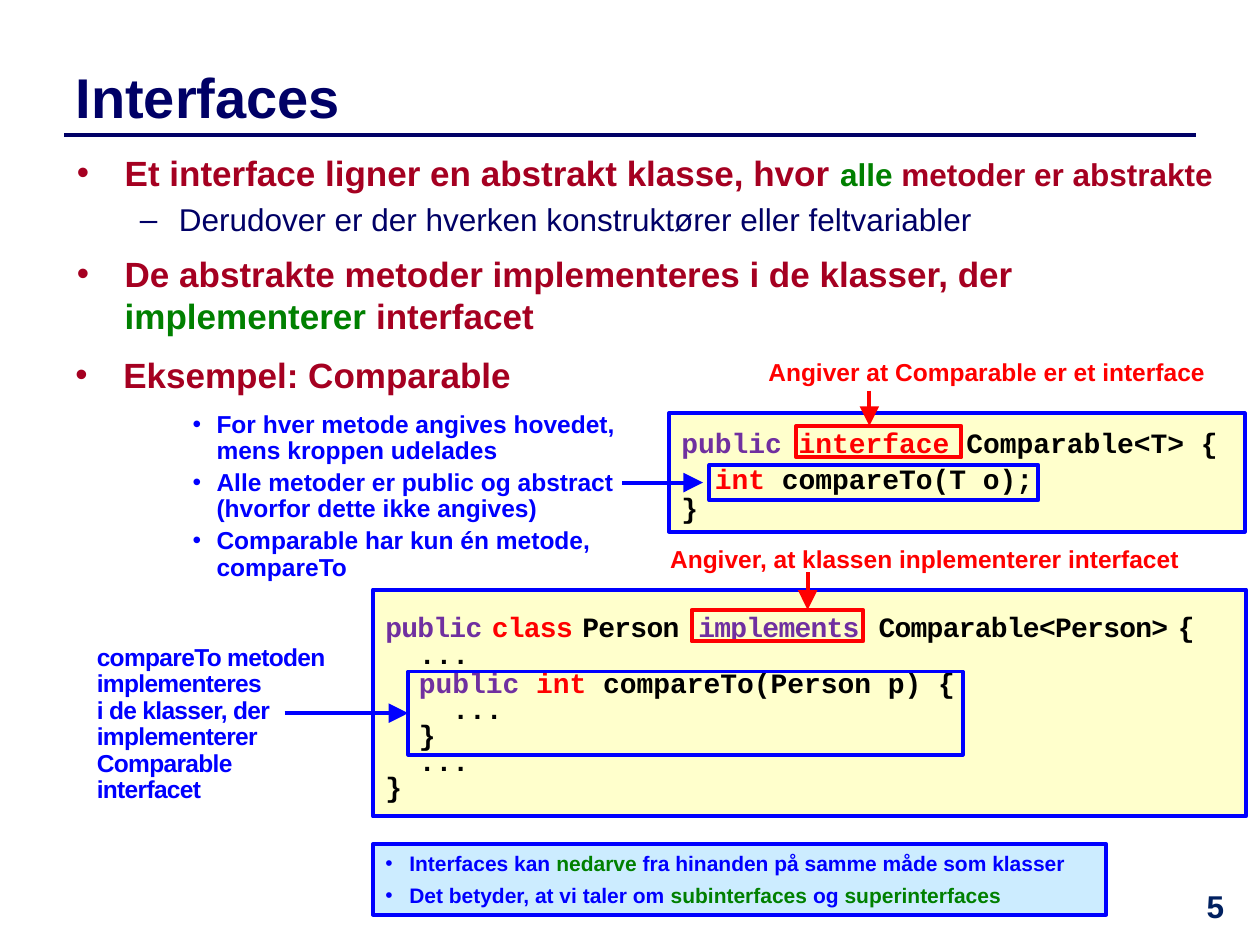
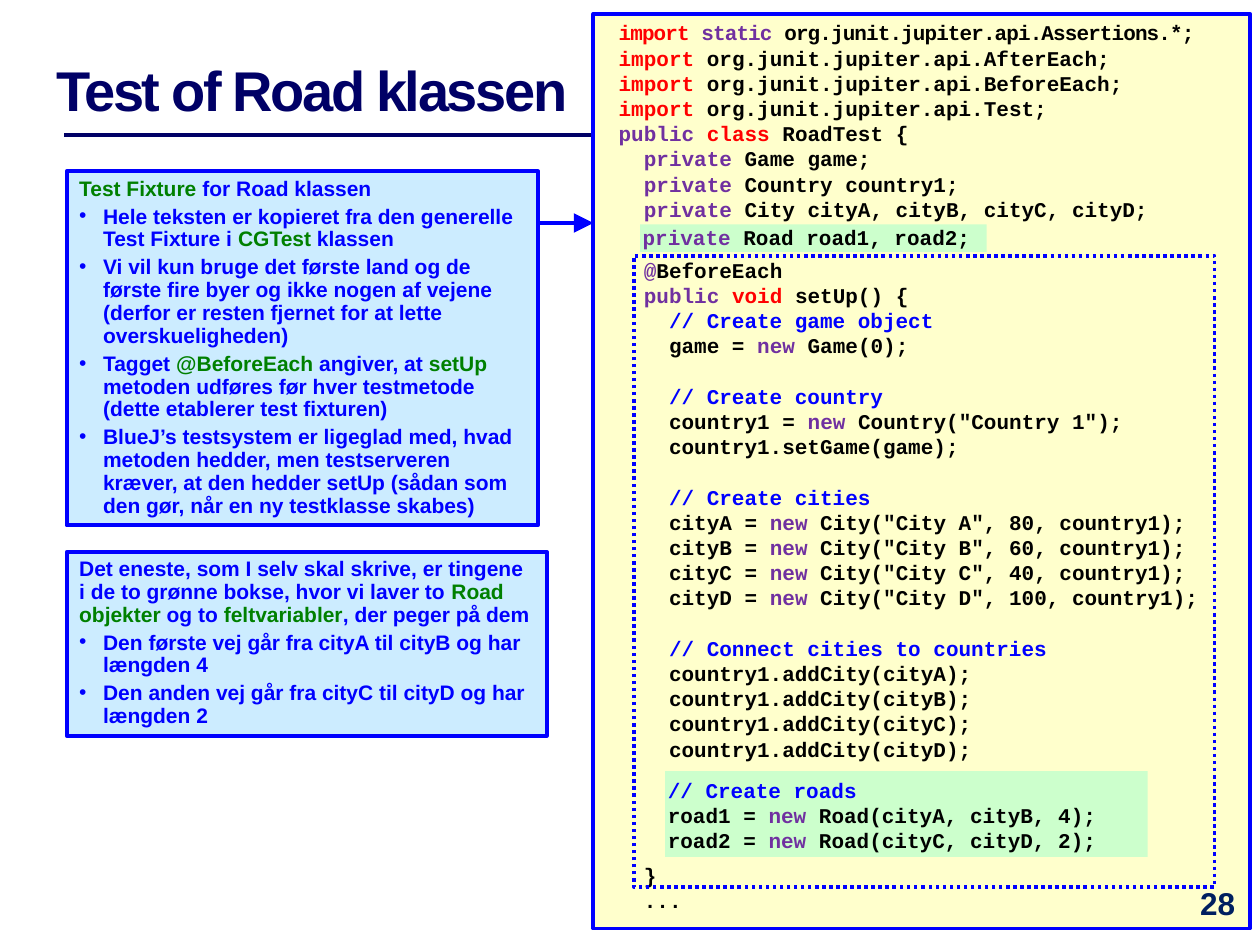
from dataclasses import dataclass

from lxml import etree
from pptx import Presentation
from pptx.dml.color import RGBColor
from pptx.enum.dml import MSO_LINE
from pptx.enum.shapes import MSO_CONNECTOR, MSO_SHAPE
from pptx.enum.text import MSO_ANCHOR, MSO_AUTO_SIZE, PP_ALIGN
from pptx.oxml.ns import qn
from pptx.util import Inches, Pt

LEFT, CENTER = PP_ALIGN.LEFT, PP_ALIGN.CENTER
TOP, MIDDLE = MSO_ANCHOR.TOP, MSO_ANCHOR.MIDDLE
RECTANGLE, STRAIGHT = MSO_SHAPE.RECTANGLE, MSO_CONNECTOR.STRAIGHT
DOTTED = MSO_LINE.ROUND_DOT
NO_FIT = MSO_AUTO_SIZE.NONE
LEFT_SIDE = 1


@dataclass(frozen=True)
class Theme:
    sans: str = "Arial"
    mono: str = "Courier New"
    navy: str = "000066"
    number: str = "002060"
    crimson: str = "A50021"
    red: str = "FF0000"
    blue: str = "0000FF"
    green: str = "008000"
    purple: str = "7030A0"
    black: str = "000000"
    code_fill: str = "FFFFCC"
    note_fill: str = "CCECFF"
    own_fill: str = "CCFFCC"
    title_size: int = 32
    main_size: int = 20
    sub_size: int = 18
    code_size: int = 16
    label_size: int = 14
    note_size: int = 12
    leading: float = 1.2
    border: float = 2.25
    rule: float = 2


THEME = Theme()
KEYWORDS = dict.fromkeys(["import", "class", "interface", "int", "void"], THEME.red)
KEYWORDS |= dict.fromkeys(["public", "private", "static", "new", "implements"], THEME.purple)

POINTS = [
    dict(text="Et interface ligner en abstrakt klasse, hvor ", tail="*alle* metoder er abstrakte"),
    dict(text="Derudover er der hverken konstruktører eller feltvariabler", sub=True, before=4),
    dict(text="De abstrakte metoder implementeres i de klasser, der *implementerer* interfacet", before=8),
]
EXAMPLE = ["Eksempel: Comparable"]
METHOD_NOTES = [
    "For hver metode angives hovedet, mens kroppen udelades",
    "Alle metoder er public og abstract (hvorfor dette ikke angives)",
    "Comparable har kun én metode, compareTo",
]
IMPLEMENTED_NOTE = ["compareTo metoden implementeres\ni de klasser, der implementerer Comparable interfacet"]
INHERITANCE = [
    "Interfaces kan *nedarve* fra hinanden på samme måde som klasser",
    "Det betyder, at vi taler om *subinterfaces *og *superinterfaces*",
]
RED_LABELS = [
    ("Angiver at Comparable er et interface", (6, 2.81, 3.74, 0.31)),
    ("Angiver, at klassen inplementerer interfacet", (5.22, 4.29, 4.46, 0.31)),
]
INTERFACE_CODE = [
    ("public interface Comparable<T> {", 0.7, 0),
    ("  int compareTo(T o);", 0.7, 7),
    ("}", 0.7, 3),
]
PERSON_CODE = [
    ("public class Person implements Comparable<Person> {", 1, 0),
    ("  ...", 0.6, 4),
    ("  public int compareTo(Person p) {", 0.8, 1),
    ("    ...", 0.6, 3.4),
    ("  }", 0.6, 3.4),
    ("  ...", 0.6, 3.4),
    ("}", 0.6, 3.4),
]
PERSON_GAPS = [9, 9, 18, 18, 9]

FIXTURE = [
    "*Test Fixture *for Road klassen",
    "Hele teksten er kopieret fra den generelle Test Fixture i *CGTest* klassen",
    "Vi vil kun bruge det første land og de første fire byer og ikke nogen af vejene "
    "(derfor er resten fjernet for at lette overskueligheden)",
    "Tagget *@BeforeEach* angiver, at *setUp* metoden udføres før hver testmetode "
    "(dette etablerer test fixturen)",
    "BlueJ’s testsystem er ligeglad med, hvad metoden hedder, men testserveren kræver, "
    "at den hedder setUp (sådan som den gør, når en ny testklasse skabes)",
]
OWN_PART = [
    "Det eneste, som I selv skal skrive, er tingene i de to grønne bokse, hvor vi laver to "
    "*Road objekter *og to *feltvariabler*, der peger på dem",
    "Den første vej går fra cityA til cityB og har længden 4",
    "Den anden vej går fra cityC til cityD og har længden 2",
]
BLANK_LINE = THEME.note_size * THEME.leading
TEST_CODE = [
    (0, """import static org.junit.jupiter.api.Assertions.*;
import org.junit.jupiter.api.AfterEach;
import org.junit.jupiter.api.BeforeEach;
import org.junit.jupiter.api.Test;
public class RoadTest {
  private Game game;
  private Country country1;
  private City cityA, cityB, cityC, cityD;"""),
    (BLANK_LINE + 6, """  @BeforeEach
  public void setUp() {
    // Create game object
    game = new Game(0);"""),
    (BLANK_LINE, """    // Create country
    country1 = new Country("Country 1");
    country1.setGame(game);"""),
    (BLANK_LINE, """    // Create cities
    cityA = new City("City A", 80, country1);
    cityB = new City("City B", 60, country1);
    cityC = new City("City C", 40, country1);
    cityD = new City("City D", 100, country1);"""),
    (BLANK_LINE, """    // Connect cities to countries
    country1.addCity(cityA);
    country1.addCity(cityB);
    country1.addCity(cityC);
    country1.addCity(cityD);"""),
    (4 * BLANK_LINE, """  }
  ..."""),
]
ROAD_FIELDS = [(0, "private Road road1, road2;")]
ROAD_OBJECTS = [(0, """// Create roads
road1 = new Road(cityA, cityB, 4);
road2 = new Road(cityC, cityD, 2);""")]


def place(shape, at):
    shape.left, shape.top, shape.width, shape.height = map(Inches, at)


def prepare(shape, insets=(0.1, 0.05, 0.1, 0.05), anchor=TOP):
    frame = shape.text_frame
    frame.auto_size = NO_FIT
    frame.word_wrap = True
    frame.vertical_anchor = anchor
    frame.margin_left, frame.margin_top, frame.margin_right, frame.margin_bottom = map(Inches, insets)
    return frame


def add_paragraph(frame, size, spacing=1, before=0, align=LEFT):
    first = frame.paragraphs[0]
    para = frame.add_paragraph() if first.runs else first
    para.alignment = align
    para.line_spacing = Pt(round(size * THEME.leading * spacing, 1))
    para.space_before = Pt(before if para is not first else 0)
    return para


def set_indent(para, margin=0, hanging=0, bullet=None):
    properties = para._p.get_or_add_pPr()
    properties.set("marL", str(Inches(margin)))
    properties.set("indent", str(-Inches(hanging)))
    if bullet:
        etree.SubElement(properties, qn("a:buFont")).set("typeface", THEME.sans)
        etree.SubElement(properties, qn("a:buChar")).set("char", bullet)
    else:
        etree.SubElement(properties, qn("a:buNone"))


def add_span(para, text, size, color, font=THEME.sans, bold=True, tracking=0):
    span = para.add_run()
    span.text = text
    span.font.size, span.font.name, span.font.bold = Pt(size), font, bold
    span.font.color.rgb = RGBColor.from_string(color)
    if tracking:
        span._r.get_or_add_rPr().set("spc", str(round(tracking * 100)))


def write_marked(para, text, size, color, **style):
    for index, part in enumerate(text.split("*")):
        for row, piece in enumerate(part.split("\n")):
            if row:
                para.add_line_break()
            if piece:
                add_span(para, piece, size, THEME.green if index % 2 else color, **style)


def write_list(frame, items, size, color, spacing=0.9, before=3, hanging=0.19, plain=0, **style):
    for index, item in enumerate(items):
        para = add_paragraph(frame, size, spacing, before)
        if index >= plain:
            set_indent(para, hanging, hanging, "•")
        write_marked(para, item, size, color, **style)


def write_code(para, line, size, gaps=None, tracking=0):
    style = dict(font=THEME.mono, tracking=tracking)
    body = line.lstrip()
    if body.startswith("//"):
        add_span(para, line, size, THEME.blue, **style)
        return
    if body.startswith("@"):
        add_span(para, line[:-len(body)] + "@", size, THEME.purple, **style)
        add_span(para, body[1:], size, THEME.black, **style)
        return
    words = line.split(" ")
    pieces = []
    for index, word in enumerate(words):
        space = " " if index < len(words) - 1 else ""
        color = KEYWORDS.get(word, THEME.black)
        if gaps:
            add_span(para, word, size, color, **style)
            if space:
                add_span(para, space, gaps[index], THEME.black, **style)
        elif pieces and pieces[-1][1] == color:
            pieces[-1][0] += word + space
        else:
            pieces.append([word + space, color])
    for text, color in pieces:
        add_span(para, text, size, color, **style)


def write_groups(frame, groups, first_tracking=0):
    tracking = first_tracking
    for gap, block in groups:
        for index, line in enumerate(block.split("\n")):
            para = add_paragraph(frame, THEME.note_size, before=0 if index else gap)
            write_code(para, line, THEME.note_size, tracking=tracking)
            tracking = 0


def add_box(page, at, fill=None, line=THEME.blue, width=THEME.border, dash=None):
    box = page.shapes.add_shape(RECTANGLE, *map(Inches, at))
    box.shadow.inherit = False
    if fill:
        box.fill.solid()
        box.fill.fore_color.rgb = RGBColor.from_string(fill)
    else:
        box.fill.background()
    if line:
        box.line.color.rgb = RGBColor.from_string(line)
        box.line.width = Pt(width)
        if dash:
            box.line.dash_style = dash
    else:
        box.line.fill.background()
    return box


def add_text(page, at):
    return prepare(page.shapes.add_textbox(*map(Inches, at)))


def add_line(page, start, end, color, width=THEME.border, arrow=True):
    line = page.shapes.add_connector(STRAIGHT, *map(Inches, start + end))
    line.line.color.rgb = RGBColor.from_string(color)
    line.line.width = Pt(width)
    if arrow:
        etree.SubElement(line.line._get_or_add_ln(), qn("a:tailEnd"), type="triangle", w="lg", len="lg")
    etree.SubElement(line._element.spPr, qn("a:effectLst"))
    return line


def start_page(deck, layout, title, at, tracking=0):
    page = deck.slides.add_slide(deck.slide_layouts[layout])
    place(page.shapes.title, at)
    para = add_paragraph(prepare(page.shapes.title, anchor=MIDDLE), THEME.title_size)
    add_span(para, title, THEME.title_size, THEME.navy, tracking=tracking)
    add_line(page, (0.51, 1.07), (9.49, 1.07), THEME.navy, THEME.rule, arrow=False)
    return page


def add_number(page, number, at):
    para = add_paragraph(add_text(page, at), THEME.sub_size, align=CENTER)
    add_span(para, number, THEME.sub_size, THEME.number)


def build_interfaces(deck):
    page = start_page(deck, 1, "Interfaces", (0.5, 0.39, 8.98, 0.75))
    body = page.placeholders[1]
    place(body, (0.51, 1.15, 9.29, 1.64))
    frame = prepare(body)
    for point in POINTS:
        sub = point.get("sub", False)
        size, color = (THEME.sub_size, THEME.navy) if sub else (THEME.main_size, THEME.crimson)
        para = add_paragraph(frame, size, before=point.get("before", 0))
        para.level = int(sub)
        set_indent(para, *((0.81, 0.31, "–") if sub else (0.38, 0.38, "•")))
        write_marked(para, point["text"], size, color, bold=not sub)
        write_marked(para, point.get("tail", ""), THEME.sub_size, color)

    for at, inset, code, gaps in (
        ((5.31, 3.28, 4.57, 0.94), 0.18, INTERFACE_CODE, None),
        ((2.96, 4.68, 6.93, 1.8), 0.16, PERSON_CODE, PERSON_GAPS),
    ):
        frame = prepare(add_box(page, at, THEME.code_fill), (0.1, inset, 0.1, 0.05))
        for index, (line, spacing, before) in enumerate(code):
            para = add_paragraph(frame, THEME.code_size, spacing, before)
            spaced = gaps if index == 0 else None
            write_code(para, line, THEME.code_size, spaced, tracking=-0.4 if spaced else 0)

    for text, at in RED_LABELS:
        write_list(add_text(page, at), [text], THEME.label_size, THEME.red, plain=1)
    write_list(add_text(page, (0.5, 2.79, 5.05, 0.39)), EXAMPLE, THEME.main_size, THEME.crimson, hanging=0.38)
    write_list(add_text(page, (1.43, 3.22, 3.85, 1.46)), METHOD_NOTES, THEME.label_size, THEME.blue)
    write_list(add_text(page, (0.67, 5.07, 2.14, 1.16)), IMPLEMENTED_NOTE, THEME.label_size, THEME.blue,
               plain=1, tracking=-0.4)
    inheritance = prepare(add_box(page, (2.96, 6.7, 5.82, 0.56), THEME.note_fill))
    write_list(inheritance, INHERITANCE, THEME.note_size, THEME.blue, spacing=1, before=4)

    for at in ((6.32, 3.38, 1.31, 0.25), (5.49, 4.84, 1.36, 0.25)):
        add_box(page, at, line=THEME.red)
    add_box(page, (5.63, 3.69, 2.61, 0.28))
    method = add_box(page, (3.24, 5.33, 4.4, 0.66))
    add_line(page, (6.9, 3.1), (6.9, 3.38), THEME.red)
    add_line(page, (6.41, 4.54), (6.41, 4.84), THEME.red)
    add_line(page, (4.94, 3.83), (5.58, 3.83), THEME.blue)
    add_line(page, (2.26, 5.66), (3.24, 5.66), THEME.blue).end_connect(method, LEFT_SIDE)
    add_number(page, "5", (9.29, 6.99, 0.71, 0.5))


def build_road_test(deck):
    page = start_page(deck, 5, "Test of Road klassen", (0.35, 0.33, 4.41, 0.75), tracking=-1.4)
    panel = add_box(page, (4.71, 0.11, 5.21, 7.26), THEME.code_fill)
    write_groups(prepare(panel, (0.2, 0.05, 0.1, 0.05)), TEST_CODE, first_tracking=-0.5)
    add_number(page, "28", (9.33, 6.97, 0.67, 0.5))
    add_box(page, (5.03, 2.03, 4.61, 5.01), width=THEME.rule, dash=DOTTED)
    add_line(page, (4.21, 1.77), (4.71, 1.77), THEME.blue)
    for at, inset, code in (
        ((5.08, 1.78, 2.75, 0.22), 0, ROAD_FIELDS),
        ((5.28, 6.12, 3.83, 0.68), 0.05, ROAD_OBJECTS),
    ):
        own = add_box(page, at, THEME.own_fill, line=None)
        write_groups(prepare(own, (0.02, inset, 0.1, 0.02)), code)
    for at, items in (((0.53, 1.36, 3.74, 2.81), FIXTURE), ((0.53, 4.38, 3.81, 1.46), OWN_PART)):
        note = prepare(add_box(page, at, THEME.note_fill))
        write_list(note, items, THEME.note_size, THEME.blue, plain=1)


def main():
    deck = Presentation()
    deck.slide_width, deck.slide_height = Inches(10), Inches(7.5)
    build_interfaces(deck)
    build_road_test(deck)
    deck.save("out.pptx")


if __name__ == "__main__":
    main()
